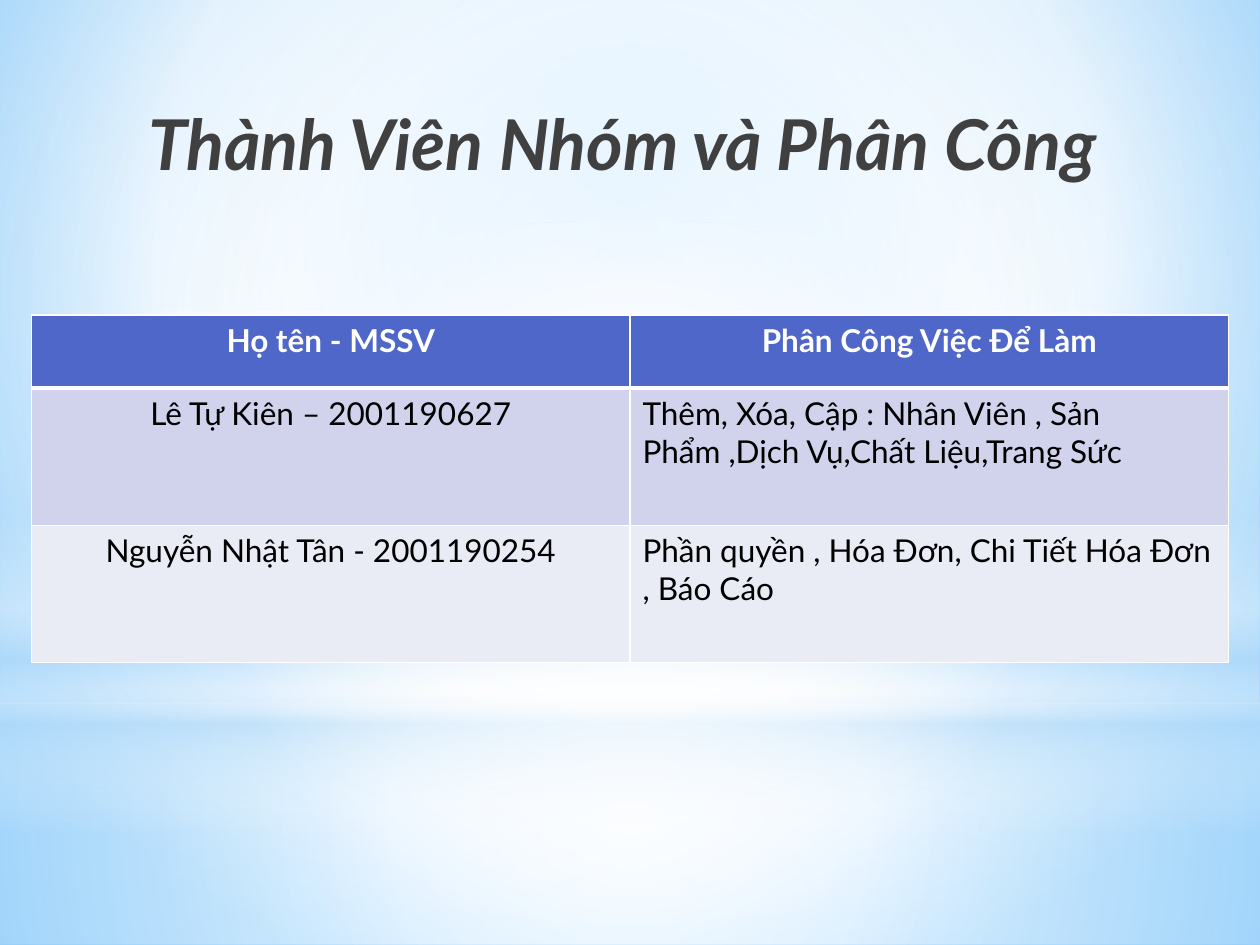
from lxml import etree
from pptx import Presentation
from pptx.dml.color import RGBColor
from pptx.enum import shapes, text
from pptx.oxml import parse_xml
from pptx.oxml.ns import nsdecls, qn
from pptx.util import Inches, Pt

W, H = 10, 7.5
FONT = "Lato"
COLORS = {
    "white": "FFFFFF", "black": "000000", "title": "404040",
    "sky": "9ED5FF", "deep": "5BB9FF", "pale": "B4DCFA",
    "header": "4E67C8", "odd": "D0D3EB", "even": "E9EBF5",
}
CENTER = (50, 50, 50, 50)
ROWS = [
    ("Họ tên - MSSV", "Phân Công Việc Để Làm"),
    ("Lê Tự Kiên – 2001190627",
     "Thêm, Xóa, Cập : Nhân Viên , Sản Phẩm ,Dịch Vụ,Chất Liệu,Trang Sức"),
    ("Nguyễn Nhật Tân - 2001190254",
     "Phần quyền , Hóa Đơn, Chi Tiết Hóa Đơn , Báo Cáo"),
]


def rgb(name):
    return RGBColor.from_string(COLORS[name])


def gradient(stops, focus=None):
    """Stops are (position %, colour, opacity %); without a focus it runs down."""
    gs = "".join(
        f'<a:gs pos="{pos * 1000}"><a:srgbClr val="{COLORS[color]}">'
        f'<a:alpha val="{alpha * 1000}"/></a:srgbClr></a:gs>'
        for pos, color, alpha in stops)
    if focus:
        sides = " ".join(f'{k}="{v * 1000}"' for k, v in zip("ltrb", focus))
        way = f'<a:path path="circle"><a:fillToRect {sides}/></a:path>'
    else:
        way = '<a:lin ang="5400000" scaled="0"/>'
    return parse_xml(f'<a:gradFill {nsdecls("a")} rotWithShape="1">'
                     f'<a:gsLst>{gs}</a:gsLst>{way}</a:gradFill>')


def use_gradient(fill, parent, grad):
    fill.solid()
    parent.replace(parent.find(qn("a:solidFill")), grad)


def set_background(s):
    fill = s.background.fill
    fill.solid()
    bg = next(s.element.iter(qn("p:bgPr")))
    use_gradient(fill, bg, gradient(
        [(0, "sky", 100), (60, "white", 100), (100, "deep", 100)],
        (20, 10, 20, 60)))


def add_glow(s, kind, top, height, stops, focus=None):
    sp = s.shapes.add_shape(kind, 0, Inches(top), Inches(W), Inches(height))
    sp.shadow.inherit = False
    sp.line.fill.background()
    use_gradient(sp.fill, sp.element.spPr, gradient(stops, focus))


def format_runs(p, size, color, bold=False, italic=False):
    for r in p.runs:
        f = r.font
        f.name, f.size, f.bold, f.italic = FONT, Pt(size), bold, italic
        f.color.rgb = rgb(color)


def set_title(s, title):
    sp = s.shapes.title
    sp.left, sp.top = 0, Inches(H * 0.1)
    sp.width, sp.height = Inches(W), Inches(1)
    tf = sp.text_frame
    tf.text = title
    tf.vertical_anchor = text.MSO_ANCHOR.TOP
    p = tf.paragraphs[0]
    p.alignment = text.PP_ALIGN.CENTER
    format_runs(p, 40, "title", bold=True, italic=True)
    s.shapes.element.append(sp.element)  # in front of the glows


def set_borders(cell, bottom):
    tcPr = cell._tc.get_or_add_tcPr()
    widths = {"lnL": 1, "lnR": 1, "lnT": 1, "lnB": bottom}
    for i, (tag, width) in enumerate(widths.items()):
        ln = etree.Element(qn(f"a:{tag}"), w=str(Pt(width)))
        fill = etree.SubElement(ln, qn("a:solidFill"))
        etree.SubElement(fill, qn("a:srgbClr"), val=COLORS["white"])
        tcPr.insert(i, ln)


def add_members_table(s):
    tbl = s.shapes.add_table(len(ROWS), 2, Inches(0.25), Inches(H / 3),
                             Inches(W * 0.95), Inches(2.76)).table
    for row, height in zip(tbl.rows, (0.58, 1.09, 1.09)):
        row.height = Inches(height)
    for i, values in enumerate(ROWS):
        head = i == 0
        for j, value in enumerate(values):
            cell = tbl.cell(i, j)
            cell.text = value
            cell.fill.solid()
            cell.fill.fore_color.rgb = rgb(("header", "odd", "even")[i])
            p = cell.text_frame.paragraphs[0]
            if head or j == 0:
                p.alignment = text.PP_ALIGN.CENTER
            format_runs(p, 18, "white" if head else "black", bold=head)
            # The rule under the header is heavy, seen from both rows
            set_borders(cell, 3 if head else 1)
            if i == 1:
                cell._tc.tcPr.find(qn("a:lnT")).set("w", str(Pt(3)))


def main():
    prs = Presentation()
    prs.slide_width, prs.slide_height = Inches(W), Inches(H)
    s = prs.slides.add_slide(prs.slide_layouts[5])

    # Sky, floor and horizon
    rect, oval = shapes.MSO_SHAPE.RECTANGLE, shapes.MSO_SHAPE.OVAL
    horizon = 5.58
    set_background(s)
    add_glow(s, rect, horizon, H - horizon,
             [(0, "white", 91), (37, "white", 76), (100, "pale", 79)], CENTER)
    add_glow(s, rect, 0, horizon,
             [(0, "white", 89), (48, "white", 62), (100, "pale", 79)], CENTER)
    add_glow(s, rect, 4.12, 2.5,
             [(0, "white", 0), (29, "white", 30), (45, "pale", 40),
              (55, "white", 26), (65, "pale", 60), (100, "white", 0)])
    add_glow(s, oval, 1.75, horizon,
             [(0, "white", 100), (56, "white", 0)], CENTER)

    # Content
    set_title(s, "Thành Viên Nhóm và Phân Công ")
    add_members_table(s)
    prs.save("out.pptx")


if __name__ == "__main__":
    main()
